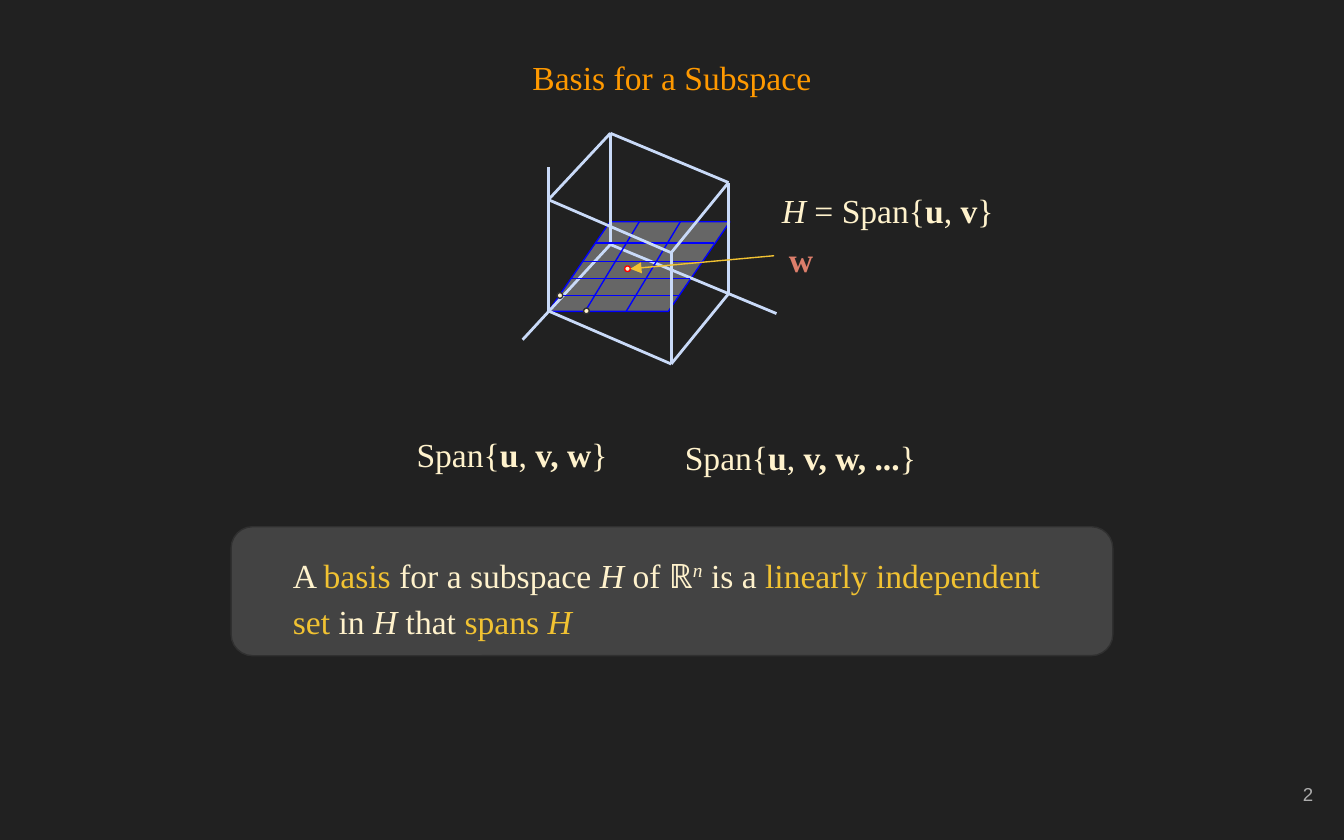
"""Build the slide that defines a basis for a subspace."""
from dataclasses import dataclass

from lxml import etree
from pptx import Presentation
from pptx import util as u
from pptx.dml.color import RGBColor
from pptx.enum import shapes, text
from pptx.oxml.ns import qn


@dataclass(frozen=True)
class Theme:
    """Colours, fonts and type sizes of the deck."""
    back: str = "212121"
    title: str = "FF9900"
    body: str = "FFF2CC"
    key: str = "F1C232"
    vector: str = "DD7E6B"
    number: str = "ADADAD"
    panel: str = "434343"
    border: str = "303030"
    cube: str = "C9DAF8"
    plane: str = "666666"
    grid: str = "0000FF"
    point: str = "FF0000"
    serif: str = "Times New Roman"
    sans: str = "Arial"
    text_size: float = 18
    number_size: float = 10
    thin: float = 0.75
    thick: float = 1.5


class Board:
    """Hold the theme and the current slide and draw elements on it."""

    def __init__(self, theme, slide):
        """Keep the theme and slide and paint the background."""
        self.theme, self.slide = theme, slide
        fill = slide.background.fill
        fill.solid()
        fill.fore_color.rgb = RGBColor.from_string(theme.back)

    def typeset(self, frame, runs, color, align, anchor, after=0, spacing=1.15,
                font=None, size=None):
        """Set one paragraph from (text, flags, colour) runs."""
        frame.word_wrap = True
        frame.auto_size = text.MSO_AUTO_SIZE.NONE
        frame.vertical_anchor = anchor
        frame.margin_left = frame.margin_right = u.Pt(7.2)
        frame.margin_top = frame.margin_bottom = u.Pt(7.2)
        line = frame.paragraphs[0]
        line.alignment, line.line_spacing = align, spacing
        line.space_after = u.Pt(after)
        for words, flags, *tint in runs:
            run = line.add_run()
            run.text = words
            run.font.name = font or self.theme.serif
            run.font.size = u.Pt(size or self.theme.text_size)
            run.font.bold, run.font.italic = "b" in flags, "i" in flags
            run.font.color.rgb = RGBColor.from_string(tint[0] if tint else color)
            if "^" in flags:
                run.font._element.set("baseline", "30000")

    def title(self, box, words):
        """Place and fill the title placeholder."""
        heading = self.slide.shapes.title
        heading.left, heading.top, heading.width, heading.height = map(u.Pt, box)
        self.typeset(heading.text_frame, [(words, "")], self.theme.title,
                     text.PP_ALIGN.CENTER, text.MSO_ANCHOR.TOP, after=16)

    def label(self, box, runs, color=None, align=text.PP_ALIGN.CENTER,
              anchor=text.MSO_ANCHOR.MIDDLE, **style):
        """Add a text box and return it."""
        label = self.slide.shapes.add_textbox(*map(u.Pt, box))
        self.typeset(label.text_frame, runs, color or self.theme.body, align, anchor, **style)
        return label

    def shape(self, kind, box, fill, border, adjust=None):
        """Add a filled preset shape."""
        shape = self.slide.shapes.add_shape(kind, *map(u.Pt, box))
        shape.shadow.inherit = False
        shape.fill.solid()
        shape.fill.fore_color.rgb = RGBColor.from_string(fill)
        shape.line.color.rgb = RGBColor.from_string(border)
        shape.line.width = u.Pt(self.theme.thin)
        if adjust is not None:
            shape.adjustments[0] = adjust

    def dot(self, center, border):
        """Add a small point mark around its centre."""
        x, y = center
        self.shape(shapes.MSO_SHAPE.OVAL, (x - 1.5, y - 1.5, 3, 3), self.theme.body, border)

    def line(self, start, end, color, width, origin=None, arrow=False):
        """Add a straight line, joined to the left side of origin if given."""
        line = self.slide.shapes.add_connector(
            shapes.MSO_CONNECTOR.STRAIGHT, *map(u.Pt, (*start, *end)))
        line.line.color.rgb = RGBColor.from_string(color)
        line.line.width = u.Pt(width)
        etree.SubElement(line.element.spPr, qn("a:effectLst"))
        if origin is not None:
            line.begin_connect(origin, 1)
        if arrow:
            etree.SubElement(line.element.spPr.get_or_add_ln(), qn("a:tailEnd"), type="triangle")

    def edges(self, pairs):
        """Add cube edges between pairs of points."""
        for start, end in pairs:
            self.line(start, end, self.theme.cube, self.theme.thick)


def draw_space(board):
    """Draw the cube, its axes and the plane spanned by u and v."""
    theme = board.theme
    height = 59.6
    floor = {"back": (327, 131), "left": (293.8, 166.6),
             "front": (359.6, 195), "right": (390.3, 157.4)}
    roof = {corner: (x, y - height) for corner, (x, y) in floor.items()}

    board.shape(shapes.MSO_SHAPE.PARALLELOGRAM, (293.8, 118.8, 97.2, 48),
                theme.plane, theme.grid, 0.687)
    board.edges([
        (floor["back"], (280, 182)), (floor["back"], (416, 168)),
        (floor["left"], (293.8, 89.3)), (floor["left"], floor["front"]),
        (floor["front"], floor["right"]), (floor["back"], roof["back"]),
        (roof["left"], roof["back"]), (floor["right"], roof["right"]),
        (roof["back"], roof["right"])])
    for x in (313.5, 335.5):
        board.line((x, 166.8), (x + 29, 118.8), theme.grid, theme.thin)
    for x, y in ((301, 158.3), (306, 149.2), (312.5, 140.2), (319, 130.2)):
        board.line((x, y), (x + 63.4, y), theme.grid, theme.thin)
    board.edges([(roof["left"], roof["front"]), (floor["front"], roof["front"]),
                 (roof["front"], roof["right"])])
    for center in ((314.2, 166.6), (300, 158.3)):
        board.dot(center, theme.border)


def main():
    """Assemble and save the slide."""
    theme = Theme()
    deck = Presentation()
    deck.slide_width, deck.slide_height = u.Pt(720), u.Pt(450)
    board = Board(theme, deck.slides.add_slide(deck.slide_layouts[5]))

    board.label((667.4, 408.2, 43.2, 34.6), [("2", "")], theme.number,
                text.PP_ALIGN.RIGHT, spacing=1, font=theme.sans, size=theme.number_size)
    board.title((24.5, 20.2, 671, 34.6), "Basis for a Subspace")
    draw_space(board)

    board.label((396.7, 96.5, 157.7, 28.8), [
        ("H", "i"), (" = Span{", ""), ("u", "b"), (", ", ""), ("v", "b"), ("}", "")])
    board.dot((336.2, 144), theme.point)
    vector = board.label((414.7, 122.6, 28.8, 28.8), [("w", "b")], theme.vector)
    board.line((414.7, 137), (337.7, 144), theme.key, theme.thin, vector, True)

    for box, others in (((208.8, 227.5, 131, 28.8), "v, w"),
                        ((346.3, 229, 164.9, 28.8), "v, w, ...")):
        board.label(box, [("Span{", ""), ("u", "b"), (", ", ""), (others, "b"), ("}", "")])

    board.shape(shapes.MSO_SHAPE.ROUNDED_RECTANGLE, (123.8, 282.2, 472.4, 69.1),
                theme.panel, theme.border)
    board.label((149.8, 286.6, 421.2, 60.5), [
        ("A ", ""), ("basis ", "", theme.key), ("for a subspace ", ""), ("H", "i"),
        (" of ℝ", ""), ("n", "i^"), (" is a ", ""),
        ("linearly independent set", "", theme.key), (" in ", ""), ("H", "i"),
        (" that ", ""), ("spans ", "", theme.key), ("H", "i", theme.key)],
        align=text.PP_ALIGN.LEFT, anchor=text.MSO_ANCHOR.TOP, after=16)
    deck.save("out.pptx")


if __name__ == "__main__":
    main()
